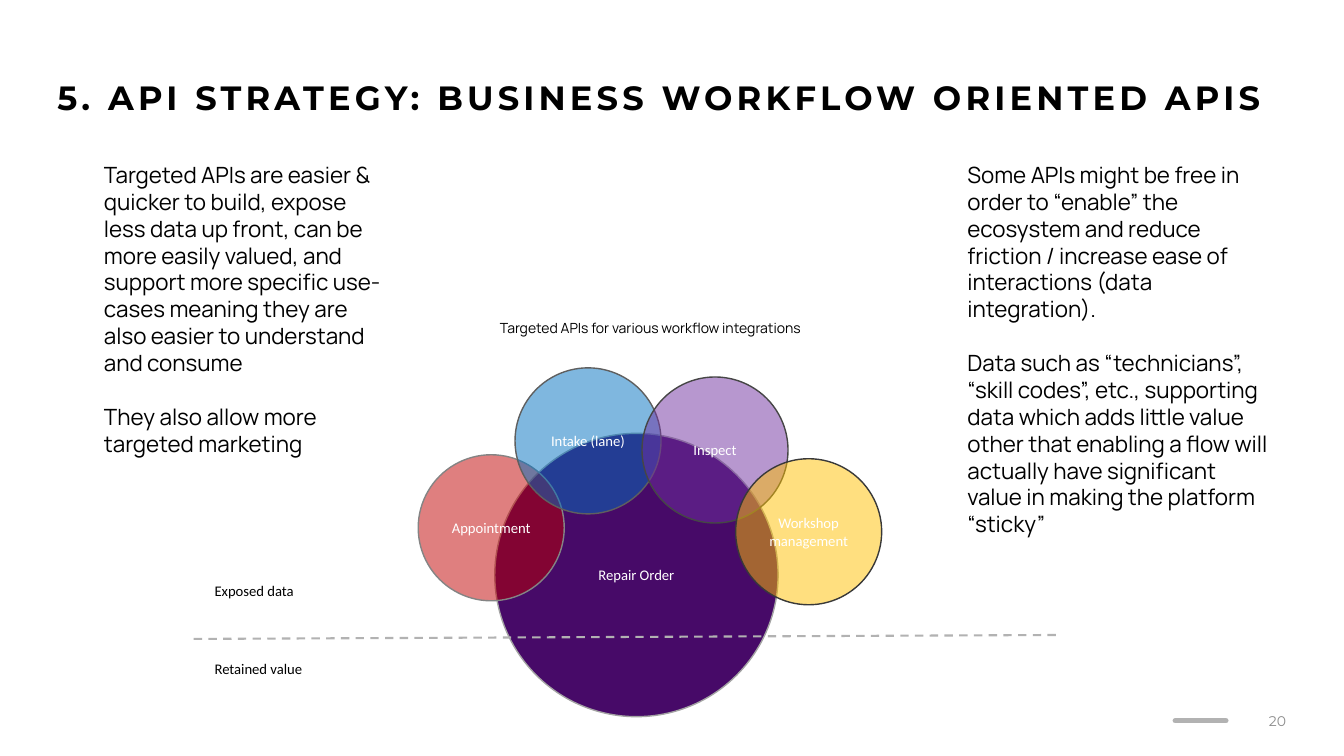
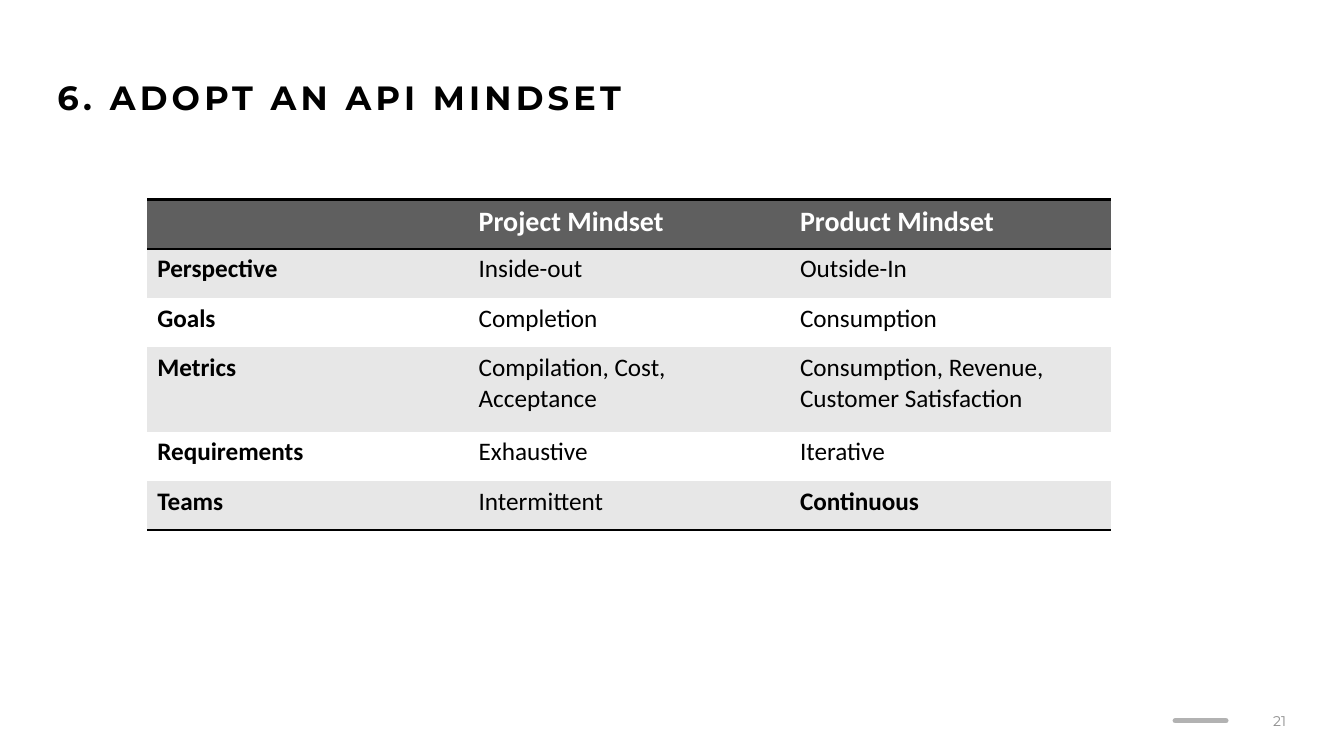
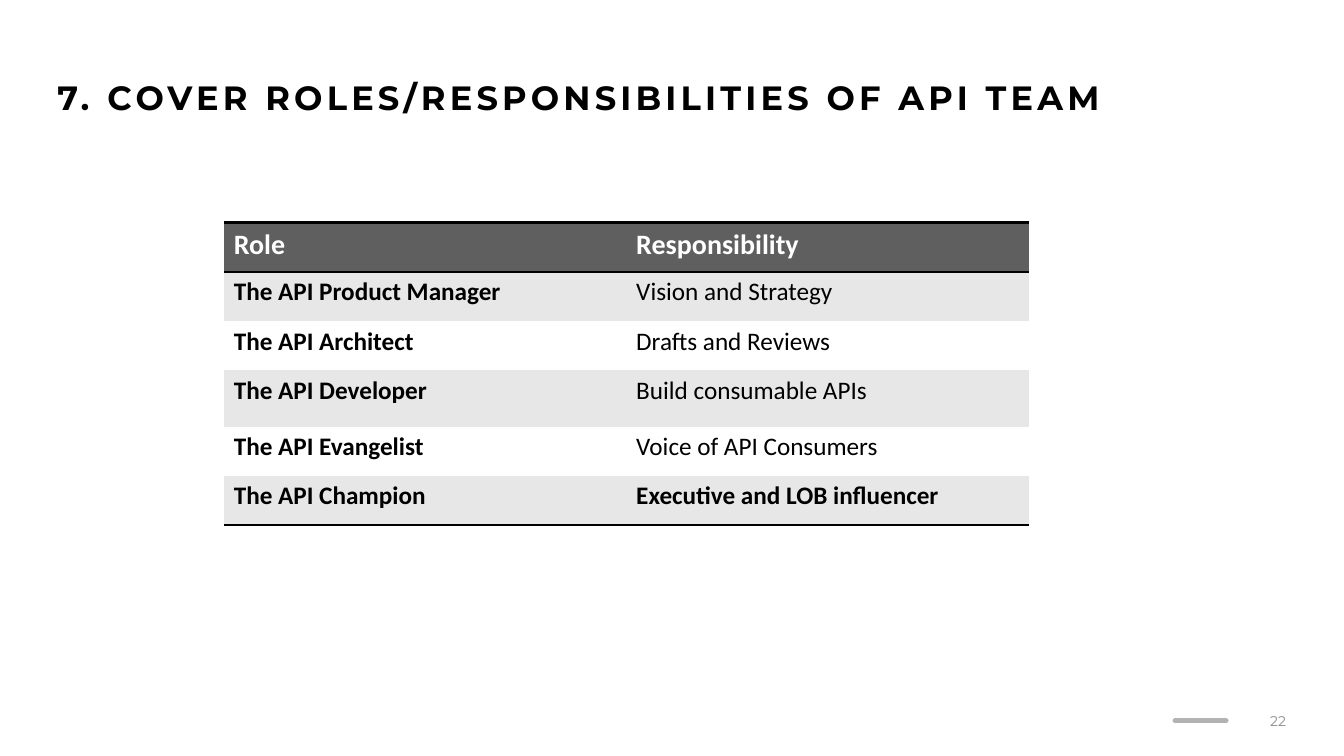
from dataclasses import dataclass
from typing import Any, NamedTuple

from lxml import etree
from pptx import Presentation
from pptx.dml.color import RGBColor
from pptx.enum.dml import MSO_LINE
from pptx.enum.shapes import MSO_CONNECTOR, MSO_SHAPE
from pptx.enum.text import MSO_ANCHOR, MSO_AUTO_SIZE, PP_ALIGN
from pptx.oxml.ns import qn
from pptx.util import Cm, Pt

LEFT, CENTER, RIGHT = PP_ALIGN.LEFT, PP_ALIGN.CENTER, PP_ALIGN.RIGHT
TOP, MIDDLE = MSO_ANCHOR.TOP, MSO_ANCHOR.MIDDLE
FIXED = MSO_AUTO_SIZE.NONE
DASH = MSO_LINE.DASH
STRAIGHT = MSO_CONNECTOR.STRAIGHT
OVAL = MSO_SHAPE.OVAL
TWO_CONTENT, TITLE_ONLY = 3, 5
PLAIN_TABLE = "{2D5ABB26-0587-4C30-8999-92F81FD0307C}"


class TextStyle(NamedTuple):
    font: str
    size: float
    color: str
    bold: bool = False
    tracking: float = 0


@dataclass(frozen=True)
class Theme:
    """Colours and type styles shared by all slides."""
    black: str = "000000"
    rule: str = "B2B2B2"
    header_fill: str = "5F5F5F"
    band_fills: tuple[str, str] = ("E7E7E7", "FFFFFF")
    title: TextStyle = TextStyle("Montserrat", 24, "000000", True, 3)
    page: TextStyle = TextStyle("Montserrat", 10, "8C8C8C")
    body: TextStyle = TextStyle("Manrope", 16, "000000")
    caption: TextStyle = TextStyle("Manrope", 10, "000000")
    label: TextStyle = TextStyle("Calibri", 10.5, "000000")
    circle: TextStyle = TextStyle("Calibri", 10.5, "FFFFFF")
    header: TextStyle = TextStyle("Calibri", 20, "FFFFFF", True)
    cell: TextStyle = TextStyle("Calibri", 18, "000000")


THEME = Theme()


class Box(NamedTuple):
    """A place on the slide, in centimetres."""
    left: float
    top: float
    width: float
    height: float


class Circle(NamedTuple):
    text: str
    left: float
    top: float
    diameter: float
    fill: str
    outline: str
    opacity: int = 100


class Grid(NamedTuple):
    left: float
    top: float
    column_width: float
    row_heights: list[float]
    rows: list[list[str]]


TITLE_BOX = Box(1.19, 1.93, 31.47, 2.77)
PAGE_BOX = Box(25.04, 17.65, 7.62, 1.02)
NO_MARGINS = dict.fromkeys(("margin_left", "margin_top", "margin_right", "margin_bottom"), 0)
CIRCLE_MARGINS = {"margin_left": Cm(0.18), "margin_right": Cm(0.18),
                  "margin_top": Cm(0.1), "margin_bottom": Cm(0.1)}

# Content
WORKFLOW_BODIES = [
    (Box(2.62, 4.06, 7.09, 9.7), [
        "Targeted APIs are easier & quicker to build, expose less data up front, can be more "
        "easily valued, and support more specific use-cases meaning they are also easier to "
        "understand and consume",
        "They also allow more targeted marketing"]),
    (Box(24.38, 4.06, 7.62, 13.59), [
        "Some APIs might be free in order to “enable” the ecosystem and reduce friction / "
        "increase ease of interactions (data integration).",
        "Data such as “technicians”, “skill codes”, etc., supporting data which adds little "
        "value other that enabling a flow will actually have significant value in making the "
        "platform “sticky”"]),
]
REPAIR_ORDER = Circle("Repair Order", 12.47, 10.92, 7.14, "470A68", "A3A3A3")
WORKFLOW_STEPS = [
    Circle("Appointment", 10.54, 11.46, 3.68, "C00000", "848484", 50),
    Circle("Intake (lane)", 12.98, 9.27, 3.68, "0070C0", "5F5F5F", 50),
    Circle("Inspect", 16.18, 9.5, 3.68, "7030A0", "464646", 50),
    Circle("Workshop management", 18.54, 11.56, 3.68, "FFC000", "393939", 50),
]
DATA_LABELS = [("Retained value", Box(5.16, 16.51, 3.02, 0.71)),
               ("Exposed data", Box(5.16, 14.53, 2.79, 0.71))]
MINDSETS = Grid(3.71, 5.03, 8.1, [1.24, 1.24, 1.24, 2.13, 1.24, 1.24], [
    ["", "Project Mindset", "Product Mindset"],
    ["Perspective", "Inside-out", "Outside-In"],
    ["Goals", "Completion", "Consumption"],
    ["Metrics", "Compilation, Cost, Acceptance", "Consumption, Revenue, Customer Satisfaction"],
    ["Requirements", "Exhaustive", "Iterative"],
    ["Teams", "Intermittent", "Continuous"],
])
ROLES = Grid(5.64, 5.61, 10.14, [1.24, 1.24, 1.24, 1.42, 1.24, 1.24], [
    ["Role", "Responsibility"],
    ["The API Product Manager", "Vision and Strategy"],
    ["The API Architect", "Drafts and Reviews"],
    ["The API Developer", "Build consumable APIs"],
    ["The API Evangelist", "Voice of API Consumers"],
    ["The API Champion", "Executive and LOB influencer"],
])


# Helpers
def apply(target: Any, values: dict[str, Any]) -> None:
    for name, value in values.items():
        setattr(target, name, value)


def rgb(color: str) -> RGBColor:
    return RGBColor.from_string(color)


def add_run(paragraph: Any, text: str, style: TextStyle) -> None:
    run = paragraph.add_run()
    run.text = text
    apply(run.font, {"name": style.font, "size": Pt(style.size), "bold": style.bold})
    run.font.color.rgb = rgb(style.color)
    if style.tracking:
        run.font._element.set("spc", str(int(style.tracking * 100)))


def place(shape: Any, box: Box) -> None:
    apply(shape, {side: Cm(length) for side, length in box._asdict().items()})


def add_label(slide: Any, text: str, box: Box, style: TextStyle,
              align: PP_ALIGN = LEFT, **frame_format: Any) -> None:
    frame = slide.shapes.add_textbox(*map(Cm, box)).text_frame
    apply(frame, {"word_wrap": True, **frame_format})
    frame.paragraphs[0].alignment = align
    add_run(frame.paragraphs[0], text, style)


def add_rule(slide: Any, start: tuple[float, float], end: tuple[float, float],
             width: float, **line_format: Any) -> Any:
    rule = slide.shapes.add_connector(STRAIGHT, *map(Cm, start + end))
    rule.line.color.rgb = rgb(THEME.rule)
    apply(rule.line, {"width": Pt(width), **line_format})
    etree.SubElement(rule.element.spPr, qn("a:effectLst"))
    return rule


def add_slide(deck: Any, layout: int, title: str, page: int) -> Any:
    """Start a slide with the shared title and footer."""
    slide = deck.slides.add_slide(deck.slide_layouts[layout])
    rule = add_rule(slide, (29.62, 18.16), (30.89, 18.16), 4)
    rule.element.spPr.find(qn("a:ln")).set("cap", "rnd")
    heading = slide.shapes.title
    place(heading, TITLE_BOX)
    apply(heading.text_frame, {"vertical_anchor": TOP, "auto_size": FIXED, "word_wrap": True})
    paragraph = heading.text_frame.paragraphs[0]
    apply(paragraph, {"alignment": LEFT, "line_spacing": 0.9})
    add_run(paragraph, title, THEME.title)
    add_label(slide, str(page), PAGE_BOX, THEME.page, RIGHT, vertical_anchor=MIDDLE)
    return slide


def fill_body(body: Any, box: Box, texts: list[str]) -> None:
    place(body, box)
    frame = body.text_frame
    apply(frame, {"vertical_anchor": TOP, "auto_size": FIXED, "word_wrap": True, **NO_MARGINS})
    for index, text in enumerate(texts):
        paragraph = frame.add_paragraph() if index else frame.paragraphs[0]
        apply(paragraph, {"alignment": LEFT, "space_before": Pt(19.2 if index else 0)})
        properties = paragraph._p.get_or_add_pPr()
        properties.set("marL", "0")
        properties.set("indent", "0")
        etree.SubElement(properties, qn("a:buNone"))
        add_run(paragraph, text, THEME.body)


def add_circle(slide: Any, circle: Circle) -> None:
    box = Box(circle.left, circle.top, circle.diameter, circle.diameter)
    oval = slide.shapes.add_shape(OVAL, *map(Cm, box))
    oval.shadow.inherit = False
    oval.fill.solid()
    oval.fill.fore_color.rgb = rgb(circle.fill)
    if circle.opacity < 100:
        color = oval.element.spPr.find(qn("a:solidFill"))[0]
        etree.SubElement(color, qn("a:alpha"), val=str(circle.opacity * 1000))
    oval.line.color.rgb = rgb(circle.outline)
    oval.line.width = Pt(1)
    apply(oval.text_frame, {"word_wrap": True, "vertical_anchor": MIDDLE, **CIRCLE_MARGINS})
    paragraph = oval.text_frame.paragraphs[0]
    paragraph.alignment = CENTER
    add_run(paragraph, circle.text, THEME.circle)


def add_border(cell: Any, side: str, position: int) -> None:
    border = etree.Element(qn(f"a:ln{side}"), w=str(Pt(2)))
    fill = etree.SubElement(border, qn("a:solidFill"))
    etree.SubElement(fill, qn("a:srgbClr"), val=THEME.black)
    cell._tc.get_or_add_tcPr().insert(position, border)


def add_grid(slide: Any, grid: Grid) -> None:
    row_count, column_count = len(grid.rows), len(grid.rows[0])
    last_row, last_column = row_count - 1, column_count - 1
    box = Box(grid.left, grid.top, grid.column_width * column_count, sum(grid.row_heights))
    frame = slide.shapes.add_table(row_count, column_count, *map(Cm, box))
    next(frame.element.iter(qn("a:tableStyleId"))).text = PLAIN_TABLE
    for row, (height, texts) in enumerate(zip(grid.row_heights, grid.rows)):
        frame.table.rows[row].height = Cm(height)
        for column, text in enumerate(texts):
            cell = frame.table.cell(row, column)
            is_header = row == 0
            cell.fill.solid()
            cell.fill.fore_color.rgb = rgb(
                THEME.header_fill if is_header else THEME.band_fills[(row - 1) % 2])
            is_bold = column == 0 or (row, column) == (last_row, last_column)
            style = THEME.header if is_header else THEME.cell._replace(bold=is_bold)
            if text:
                add_run(cell.text_frame.paragraphs[0], text, style)
            sides = "TB" if is_header else "B" if row == last_row else ""
            for position, side in enumerate(sides):
                add_border(cell, side, position)


# Slides
def build_workflow(deck: Any) -> None:
    slide = add_slide(deck, TWO_CONTENT, "5. API STRATEGY: BUSINESS WORKFLOW ORIENTED APIS", 20)
    add_circle(slide, REPAIR_ORDER)
    add_rule(slide, (4.88, 16.1), (26.72, 16), 1.5, dash_style=DASH)
    for text, box in DATA_LABELS:
        add_label(slide, text, box, THEME.label, word_wrap=False)
    for step in WORKFLOW_STEPS:
        add_circle(slide, step)
    add_label(slide, "Targeted APIs for various workflow integrations",
              Box(12.6, 8.05, 8.28, 0.71), THEME.caption, **NO_MARGINS)
    for index, (box, texts) in enumerate(WORKFLOW_BODIES, start=1):
        fill_body(slide.placeholders[index], box, texts)


def main() -> None:
    deck = Presentation()
    apply(deck, {"slide_width": Cm(33.87), "slide_height": Cm(19.05)})
    build_workflow(deck)
    add_grid(add_slide(deck, TITLE_ONLY, "6. ADOPT AN API MINDSET", 21), MINDSETS)
    add_grid(add_slide(deck, TITLE_ONLY, "7. COVER ROLES/RESPONSIBILITIES OF API TEAM", 22), ROLES)
    deck.save("out.pptx")


if __name__ == "__main__":
    main()
